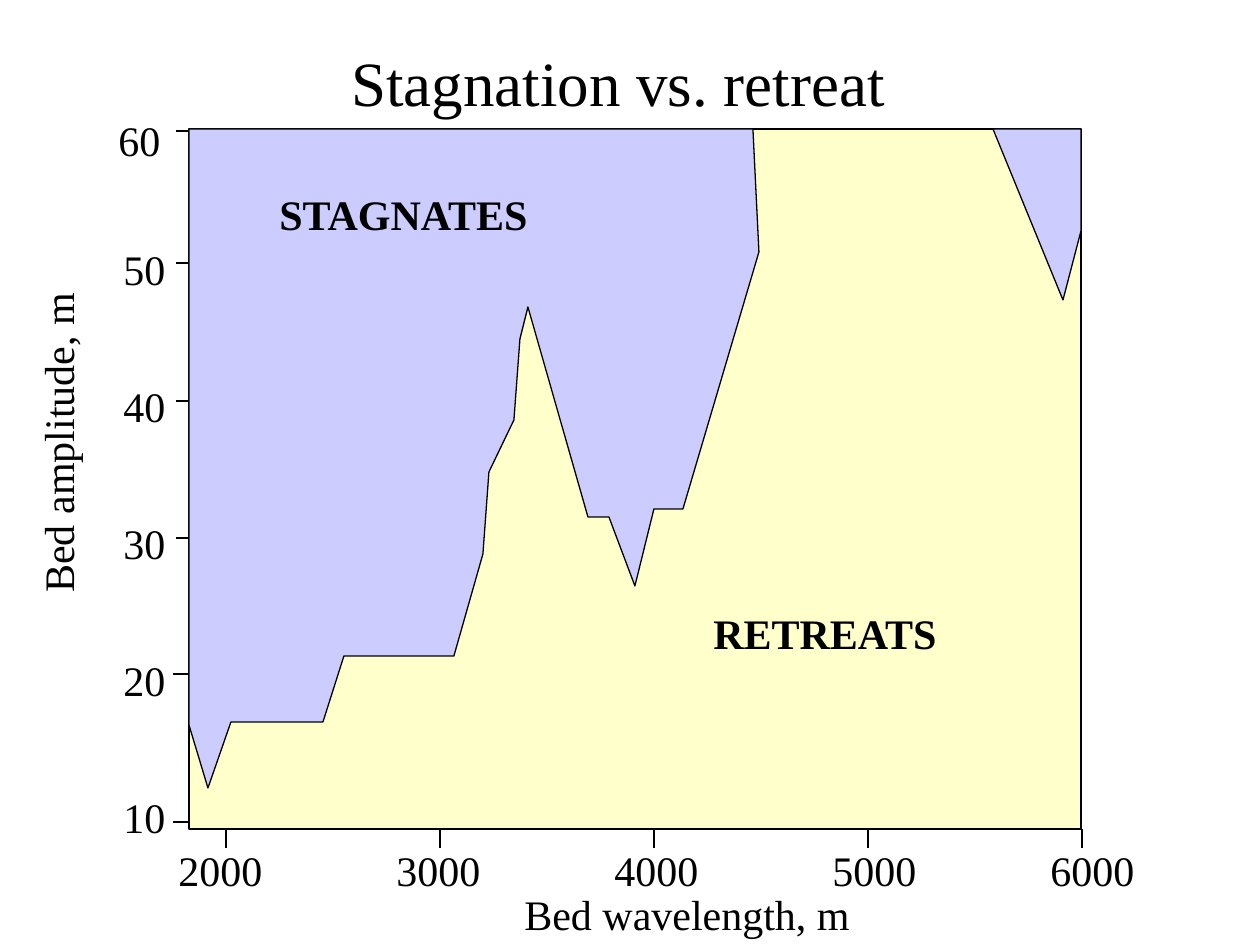
from dataclasses import dataclass

from lxml.etree import SubElement
from pptx import Presentation
from pptx.dml.color import RGBColor
from pptx.enum.shapes import MSO_CONNECTOR, MSO_SHAPE
from pptx.enum.text import MSO_AUTO_SIZE
from pptx.oxml.ns import qn
from pptx.util import Emu, Pt

EMU_PER_PX = 914400 / 126


@dataclass(frozen=True)
class Theme:
    ink: RGBColor = RGBColor(0x00, 0x00, 0x00)
    retreat: RGBColor = RGBColor(0xFF, 0xFF, 0xCC)
    stagnation: RGBColor = RGBColor(0xCC, 0xCC, 0xFF)
    font: str = "Times New Roman"
    title_size: Pt = Pt(36)
    label_size: Pt = Pt(24)
    line_width: Pt = Pt(0.75)


def px(length):
    return Emu(round(length * EMU_PER_PX))


class DiagramSlide:
    def __init__(self, slide, theme):
        self.shapes = slide.shapes
        self.theme = theme

    def outline(self, line):
        line.color.rgb = self.theme.ink
        line.width = self.theme.line_width

    def paint(self, shape, fill):
        shape.shadow.inherit = False
        shape.fill.solid()
        shape.fill.fore_color.rgb = fill
        self.outline(shape.line)

    def rectangle(self, left, top, width, height, fill):
        area = self.shapes.add_shape(
            MSO_SHAPE.RECTANGLE, px(left), px(top), px(width), px(height))
        self.paint(area, fill)

    def region(self, points, fill):
        start, *rest = [(px(x), px(y)) for x, y in points]
        builder = self.shapes.build_freeform(*start, scale=1.0)
        builder.add_line_segments(rest, close=True)
        self.paint(builder.convert_to_shape(), fill)

    def tick(self, x1, y1, x2, y2):
        mark = self.shapes.add_connector(
            MSO_CONNECTOR.STRAIGHT, px(x1), px(y1), px(x2), px(y2))
        self.outline(mark.line)
        SubElement(mark._element.spPr, qn("a:effectLst"))

    def label(self, text, left, top, width, height=63, size=None, bold=False, rotation=0):
        box = self.shapes.add_textbox(px(left), px(top), px(width), px(height))
        box.rotation = rotation
        frame = box.text_frame
        frame.word_wrap = False
        frame.auto_size = MSO_AUTO_SIZE.SHAPE_TO_FIT_TEXT
        paragraph = frame.paragraphs[0]
        paragraph.text = text
        font = paragraph.font
        font.name = self.theme.font
        font.size = size or self.theme.label_size
        font.bold = bold
        font.color.rgb = self.theme.ink


def main():
    deck = Presentation()
    deck.slide_width, deck.slide_height = px(1260), px(945)
    theme = Theme()
    diagram = DiagramSlide(deck.slides.add_slide(deck.slide_layouts[6]), theme)

    plot_left, plot_top, plot_right, plot_bottom = 189, 129, 1081, 829
    diagram.rectangle(plot_left, plot_top, plot_right - plot_left,
                      plot_bottom - plot_top, theme.retreat)

    diagram.label("60", 106, 108, 68)
    for step, amplitude in enumerate(range(50, 0, -10)):
        diagram.label(str(amplitude), 111, 237 + 137 * step, 68)
    for x, y in [(192, 131), (192, 263), (192, 401), (192, 538), (189, 674), (189, 822)]:
        diagram.tick(x, y, x - 16, y)

    for step, wavelength in enumerate(range(2000, 7000, 1000)):
        diagram.label(str(wavelength), 166 + 218 * step, 838, 110)
        x = 226 + 214 * step
        diagram.tick(x, plot_bottom + 19, x, plot_bottom)

    main_stagnation = [
        (753, plot_top), (plot_left, plot_top), (plot_left, 725), (208, 788),
        (231, 722), (323, 722), (344, 656), (454, 656), (483, 554), (489, 472),
        (514, 420), (520, 339), (528, 307), (588, 517), (609, 517), (635, 586),
        (654, 509), (683, 509), (759, 252),
    ]
    corner_stagnation = [
        (993, plot_top), (plot_right, plot_top), (plot_right, 231), (1063, 300),
    ]
    for boundary in (main_stagnation, corner_stagnation):
        diagram.region(boundary, theme.stagnation)

    diagram.label("Bed amplitude, m", -106, 410, 327, rotation=270)
    diagram.label("Bed wavelength, m", 512, 882, 353)
    diagram.label("Stagnation vs. retreat", 339, 37, 561, 88, size=theme.title_size)
    diagram.label("STAGNATES", 267, 182, 281, bold=True)
    diagram.label("RETREATS", 701, 601, 252, bold=True)

    deck.save("out.pptx")


if __name__ == "__main__":
    main()
